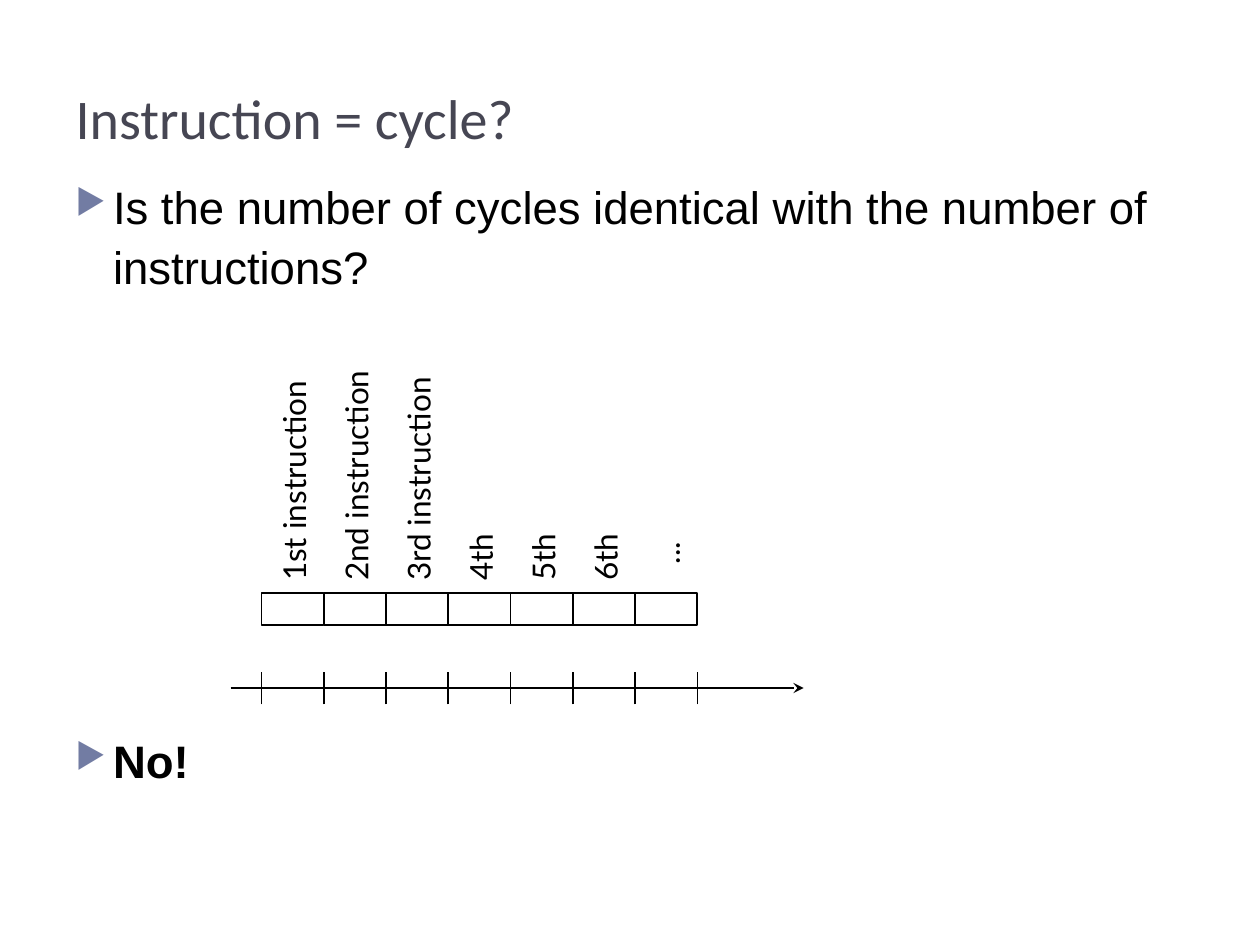
import pptx
import pptx.util
import pptx.dml.color
import pptx.enum.shapes
import pptx.enum.text
import pptx.oxml
import pptx.oxml.ns

Cm, Pt = pptx.util.Cm, pptx.util.Pt

TITLE = "Instruction = cycle?"
# text, bold, space before in points (the second leaves room for the diagram)
BULLETS = [
    ("Is the number of cycles identical with the number of instructions?", False, 6),
    ("No!", True, 248),
]
# text, length and bottom edge in cm
LABELS = [
    ("1st instruction", 4.57, 11.76),
    ("2nd instruction", 4.57, 11.76),
    ("3rd instruction", 4.57, 11.76),
    ("4th", 1.7, 11.76),
    ("5th", 1.7, 11.76),
    ("6th", 1.7, 11.76),
    ("...", 1.7, 11.42),
]
COLORS = {"title": "464653", "bullet": "727CA3", "ink": "000000", "paper": "FFFFFF"}

# Diagram geometry in cm
GRID_LEFT, GRID_WIDTH = 5.27, 8.79
PITCH = GRID_WIDTH / len(LABELS)
CELL_TOP, CELL_HEIGHT = 11.96, 0.64
AXIS_LEFT, AXIS_RIGHT, AXIS_Y = 4.65, 16.2, 13.87
TICK_HALF = 0.33
LABEL_HEIGHT, LABEL_SHIFT = 1.08, 0.12


def rgb(name):
    return pptx.dml.color.RGBColor.from_string(COLORS[name])


def xml(markup):
    return pptx.oxml.parse_xml(
        markup.replace("/>", " " + pptx.oxml.ns.nsdecls("a") + "/>", 1)
    )


def style_runs(p, font, size, color, bold=False):
    for r in p.runs:
        r.font.name, r.font.size, r.font.bold = font, Pt(size), bold
        r.font.color.rgb = rgb(color)


def add_bullet(p):
    pPr = p._p.get_or_add_pPr()
    pPr.set("marL", str(Cm(0.76)))
    pPr.set("indent", str(-Cm(0.76)))
    color = xml("<a:buClr/>")
    color.append(xml(f'<a:srgbClr val="{COLORS["bullet"]}"/>'))
    pPr.append(color)
    pPr.append(xml('<a:buSzPct val="76000"/>'))
    pPr.append(xml('<a:buChar char="▶"/>'))


def add_line(s, x1, y1, x2, y2, arrow=False):
    line = s.shapes.add_connector(
        pptx.enum.shapes.MSO_CONNECTOR.STRAIGHT, Cm(x1), Cm(y1), Cm(x2), Cm(y2)
    )
    line.line.color.rgb, line.line.width = rgb("ink"), Pt(1)
    if arrow:
        line.line._get_or_add_ln().append(xml('<a:tailEnd type="stealth"/>'))
    line._element.spPr.append(xml("<a:effectLst/>"))


def add_title(s):
    sp = s.shapes.title
    sp.left, sp.top, sp.width, sp.height = Cm(1.27), Cm(0.43), Cm(22.86), Cm(2.74)
    tf = sp.text_frame
    tf.text = TITLE
    tf.vertical_anchor = pptx.enum.text.MSO_ANCHOR.BOTTOM
    tf.paragraphs[0].alignment = pptx.enum.text.PP_ALIGN.LEFT
    style_runs(tf.paragraphs[0], "Calibri", 32, "title")


def add_body(s):
    tf = s.shapes.add_textbox(Cm(1.27), Cm(3.38), Cm(22.86), Cm(13.72)).text_frame
    tf.word_wrap = True
    for i, (text, bold, gap) in enumerate(BULLETS):
        p = tf.add_paragraph() if i else tf.paragraphs[0]
        p.text = text
        p.line_spacing, p.space_before = 1.1, Pt(gap)
        add_bullet(p)
        style_runs(p, "Arial", 26, "ink", bold)


def add_label(s, text, length, bottom, center_x):
    """Add a label that reads upwards from its bottom edge."""
    center_y = bottom - length / 2
    sp = s.shapes.add_textbox(
        Cm(center_x - length / 2), Cm(center_y - LABEL_HEIGHT / 2),
        Cm(length), Cm(LABEL_HEIGHT),
    )
    sp.rotation = 270
    tf = sp.text_frame
    tf.word_wrap = True
    tf.margin_left = tf.margin_right = Cm(0.05)
    tf.margin_top = tf.margin_bottom = Cm(0.08)
    p = tf.paragraphs[0]
    p.text = text
    p.line_spacing = Pt(21)
    style_runs(p, "Lato", 18, "ink")


def add_cell(s, x):
    sp = s.shapes.add_shape(
        pptx.enum.shapes.MSO_SHAPE.RECTANGLE,
        Cm(x), Cm(CELL_TOP), Cm(PITCH), Cm(CELL_HEIGHT),
    )
    sp.shadow.inherit = False
    sp.fill.solid()
    sp.fill.fore_color.rgb = rgb("paper")
    sp.line.color.rgb, sp.line.width = rgb("ink"), Pt(1)


def add_diagram(s):
    add_line(s, AXIS_LEFT, AXIS_Y, AXIS_RIGHT, AXIS_Y, arrow=True)
    for i in range(len(LABELS) + 1):
        x = GRID_LEFT + i * PITCH
        add_line(s, x, AXIS_Y + TICK_HALF, x, AXIS_Y - TICK_HALF)
    for i, (text, length, bottom) in enumerate(LABELS):
        x = GRID_LEFT + i * PITCH
        add_label(s, text, length, bottom, x + PITCH / 2 + LABEL_SHIFT)
        add_cell(s, x)


def main():
    prs = pptx.Presentation()
    prs.slide_width, prs.slide_height = Cm(25.4), Cm(19.05)
    s = prs.slides.add_slide(prs.slide_layouts.get_by_name("Title Only"))
    add_title(s)
    add_body(s)
    add_diagram(s)
    prs.save("out.pptx")


if __name__ == "__main__":
    main()
